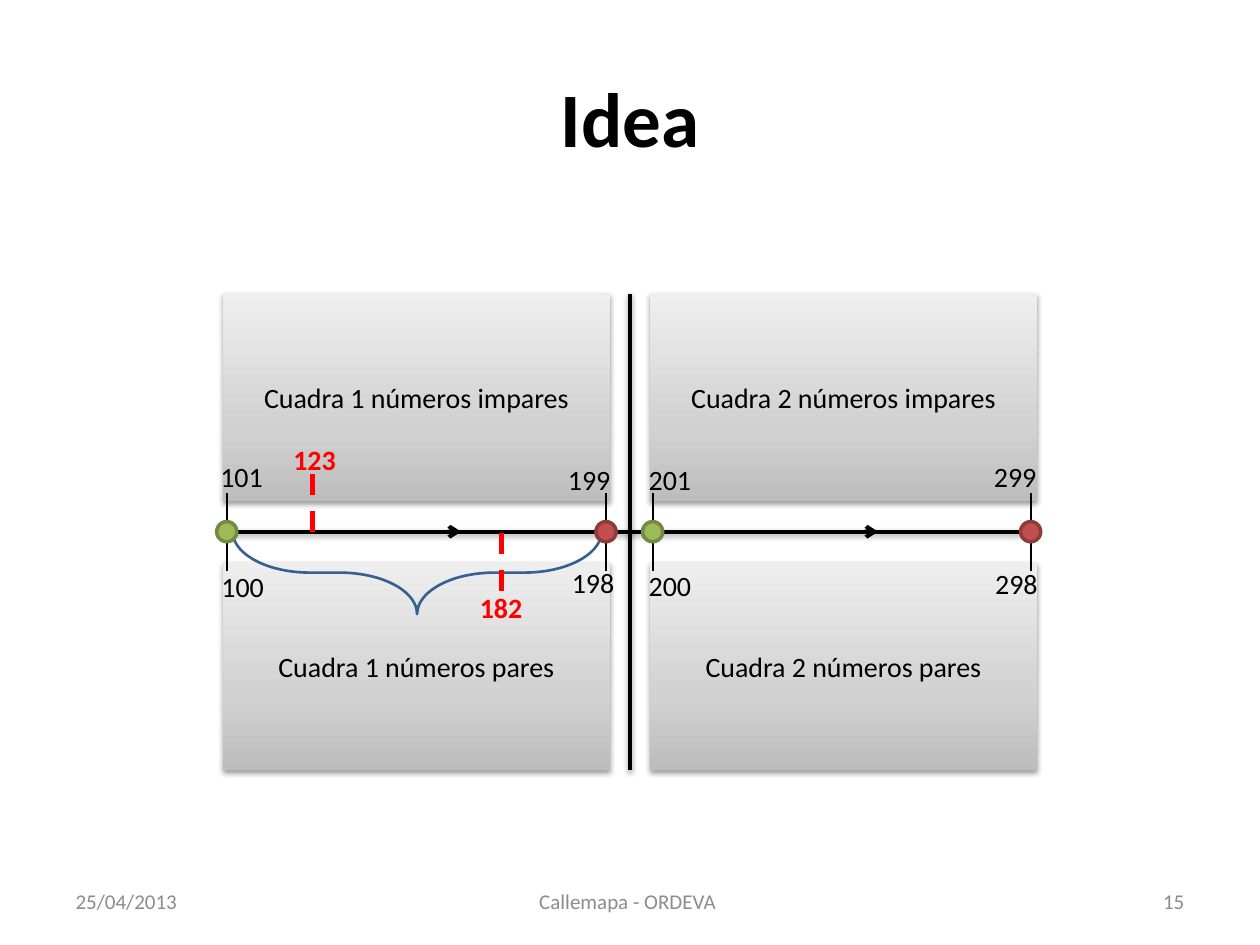
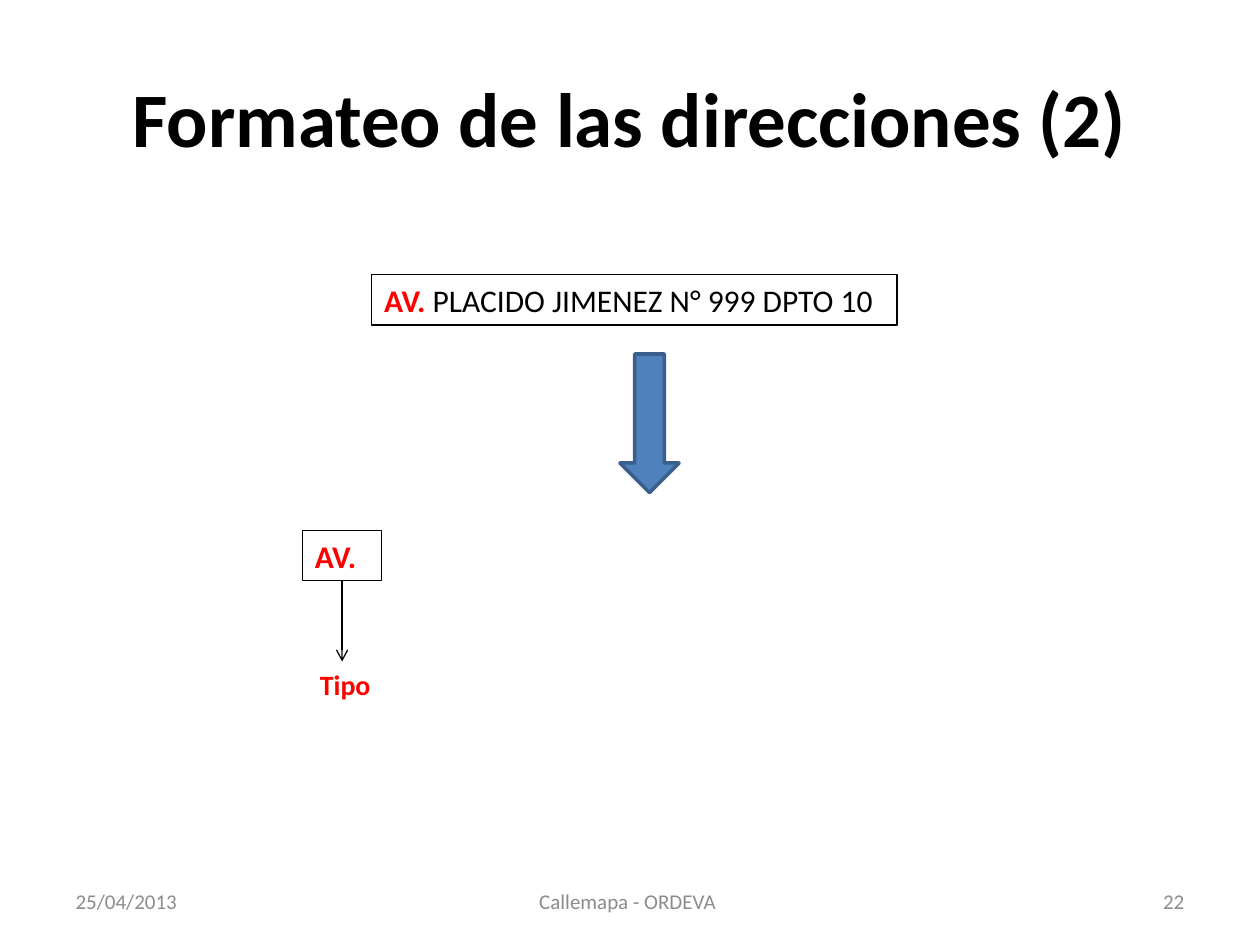
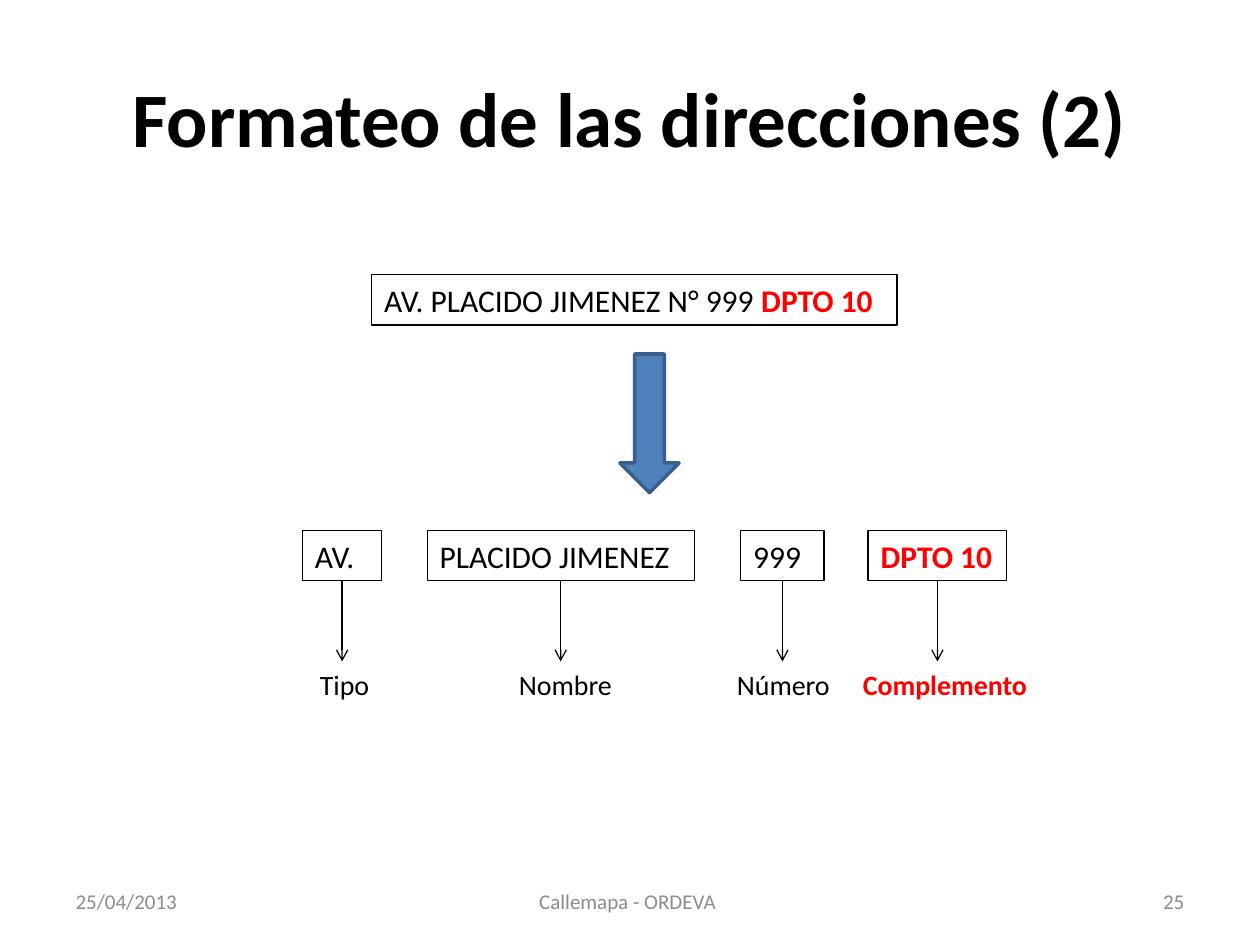
from copy import deepcopy

from lxml.etree import SubElement
from pptx import Presentation
from pptx.dml.color import RGBColor
from pptx.enum.dml import MSO_LINE
from pptx.enum.shapes import MSO_CONNECTOR, MSO_SHAPE
from pptx.enum.text import MSO_ANCHOR, MSO_AUTO_SIZE, PP_ALIGN
from pptx.oxml.ns import qn
from pptx.util import Inches, Pt

FONT = "Calibri"
BLACK = RGBColor(0x00, 0x00, 0x00)
RED = RGBColor(0xFF, 0x00, 0x00)
FOOTER_GRAY = RGBColor(0x8C, 0x8C, 0x8C)
ARROW_BLUE = RGBColor(0x4F, 0x81, 0xBD)
ARROW_EDGE = RGBColor(0x3A, 0x5F, 0x8C)
BRACE_BLUE = RGBColor(0x37, 0x60, 0x92)
START_GREEN = RGBColor(0x9B, 0xBB, 0x59)
START_EDGE = RGBColor(0x73, 0x8A, 0x42)
END_RED = RGBColor(0xC0, 0x50, 0x4D)
END_EDGE = RGBColor(0x8E, 0x3B, 0x39)
BLOCK_GRADIENT = [
    (0, RGBColor(0xBD, 0xBD, 0xBD)),
    (0.35, RGBColor(0xD1, 0xD1, 0xD1)),
    (1, RGBColor(0xEE, 0xEE, 0xEE)),
]

DATE = "25/04/2013"
FOOTER = "Callemapa - ORDEVA "
ADDRESS_TITLE = "Formateo de las direcciones (2)"
# text, label, left and width of the field, left and width of the label
ADDRESS_FIELDS = [
    ("AV.", "Tipo", 0, 0.63, 0.04, 0.71),
    ("PLACIDO JIMENEZ", "Nombre", 0.99, 2.12, 1.62, 1.1),
    ("999", "Número", 3.48, 0.66, 3.35, 1.07),
    ("DPTO 10", "Complemento", 4.49, 1.1, 4.35, 1.53),
]


def set_shadow(shape, visible=False):
    """Replace the theme shadow; call after fill and line are set."""
    effects = SubElement(shape.element.spPr, qn("a:effectLst"))
    if visible:
        shadow = SubElement(effects, qn("a:outerShdw"), blurRad="40000",
                            dist="20000", dir="5400000", rotWithShape="0")
        color = SubElement(shadow, qn("a:srgbClr"), val=str(BLACK))
        SubElement(color, qn("a:alpha"), val="38000")


def format_font(font, size, color=BLACK, bold=False):
    font.name = FONT
    font.size = Pt(size)
    font.bold = bold
    font.color.rgb = color


def add_line(slide, start, end, width, color=BLACK, dash=None, arrow=False, shadow=False):
    points = [Inches(value) for value in (*start, *end)]
    connector = slide.shapes.add_connector(MSO_CONNECTOR.STRAIGHT, *points)
    connector.line.width = Pt(width)
    connector.line.color.rgb = color
    if dash:
        connector.line.dash_style = dash
    if arrow:
        SubElement(connector.line._ln, qn("a:tailEnd"), type="arrow")
    set_shadow(connector, shadow)
    return connector


def add_shape(slide, kind, box, fill=None, edge=None, edge_width=1):
    shape = slide.shapes.add_shape(kind, *[Inches(value) for value in box])
    if fill is None:
        shape.fill.background()
    else:
        shape.fill.solid()
        shape.fill.fore_color.rgb = fill
    shape.line.color.rgb = edge
    shape.line.width = Pt(edge_width)
    set_shadow(shape)
    return shape


def add_label(slide, text, box, color=BLACK, bold=False):
    label = slide.shapes.add_textbox(*[Inches(value) for value in box])
    frame = label.text_frame
    frame.word_wrap = True
    frame.auto_size = MSO_AUTO_SIZE.SHAPE_TO_FIT_TEXT
    frame.text = text
    format_font(frame.paragraphs[0].font, 16, color, bold)


def add_slide(presentation, title, number):
    """Add a title-only slide with date, footer and slide number."""
    layout = presentation.slide_layouts[5]
    slide = presentation.slides.add_slide(layout)
    slide.shapes.title.text = title
    format_font(slide.shapes.title.text_frame.paragraphs[0].font, 44, bold=True)
    footers = {
        10: (DATE, PP_ALIGN.LEFT),
        11: (FOOTER, PP_ALIGN.CENTER),
        12: (str(number), PP_ALIGN.RIGHT),
    }
    for placeholder in layout.placeholders:
        index = placeholder.placeholder_format.idx
        if index in footers:
            slide.shapes._spTree.append(deepcopy(placeholder.element))
            text, alignment = footers[index]
            frame = slide.placeholders[index].text_frame
            frame.text = text
            paragraph = frame.paragraphs[0]
            paragraph.alignment = alignment
            format_font(paragraph.font, 12, FOOTER_GRAY)
    return slide


def add_block(slide, text, left, top, width, height):
    block = slide.shapes.add_shape(MSO_SHAPE.RECTANGLE, Inches(left), Inches(top),
                                   Inches(width), Inches(height))
    block.fill.gradient()
    block.fill.gradient_angle = 90
    stops = block.element.spPr.find(".//" + qn("a:gsLst"))
    stops.append(deepcopy(stops[-1]))
    for stop, (position, color) in zip(block.fill.gradient_stops, BLOCK_GRADIENT):
        stop.position = position
        stop.color.rgb = color
    block.line.fill.background()
    set_shadow(block, visible=True)
    frame = block.text_frame
    frame.vertical_anchor = MSO_ANCHOR.MIDDLE
    frame.text = text
    frame.paragraphs[0].alignment = PP_ALIGN.CENTER
    format_font(frame.paragraphs[0].font, 16)


def add_street_map(slide, left, top, width, height):
    """Draw two blocks on each side of a street, with its house numbers."""
    street = top + height / 2
    crossing = left + width / 2
    block_width, block_height = 3.07, 1.65
    for row, parity in enumerate(("impares", "pares")):
        for column in range(2):
            add_block(slide, f"Cuadra {column + 1} números {parity}",
                      left + column * (width - block_width),
                      top + row * (height - block_height), block_width, block_height)
    add_line(slide, (left, street), (left + width, street), 2.25, shadow=True)
    for edge in (top, top + height):
        add_line(slide, (crossing, edge), (crossing, street), 2.25, shadow=True)

    for middle in (4.85, 1.54):
        add_line(slide, (left + middle - 0.36, street), (left + middle + 0.35, street),
                 2.25, arrow=True)
    brace = add_shape(slide, MSO_SHAPE.RIGHT_BRACE,
                      (left + 1.21, top + 0.75, 0.66, 2.93), edge=BRACE_BLUE, edge_width=1.5)
    brace.rotation = 90
    brace.adjustments[0] = 0.93

    node = 0.16
    for column, offset in enumerate((0.03, 3.04, 3.41, 6.41)):
        center = left + offset
        for reach in (-0.31, 0.31):
            add_line(slide, (center, street), (center, street + reach), 1)
        fill, edge = ((START_GREEN, START_EDGE), (END_RED, END_EDGE))[column % 2]
        add_shape(slide, MSO_SHAPE.OVAL, (center - node / 2, street - node / 2, node, node),
                  fill, edge, 2)

    corner_numbers = [
        ("101", -0.12, 1.27), ("100", -0.11, 2.14), ("199", 2.64, 1.29), ("198", 2.67, 2.11),
        ("201", 3.28, 1.29), ("200", 3.28, 2.13), ("299", 6.02, 1.27), ("298", 6.03, 2.12),
    ]
    for number, x, y in corner_numbers:
        add_label(slide, number, (left + x, top + y, 0.63, 0.37))

    # number, label position, marker position, marker start and end from the street
    houses = [("123", 0.46, 1.13, 0.71, 0, -0.47), ("182", 1.94, 2.31, 2.21, 0.47, 0)]
    for number, x, y, marker, start, end in houses:
        add_line(slide, (left + marker, street + start), (left + marker, street + end),
                 3, RED, MSO_LINE.DASH)
        add_label(slide, number, (left + x, top + y, 0.63, 0.37), RED, True)


def add_framed_text(slide, runs, box):
    """Add a thin frame holding (text, highlighted) runs."""
    shape = add_shape(slide, MSO_SHAPE.RECTANGLE, box, edge=BLACK, edge_width=0.75)
    frame = shape.text_frame
    frame.word_wrap = True
    frame.auto_size = MSO_AUTO_SIZE.SHAPE_TO_FIT_TEXT
    frame.vertical_anchor = MSO_ANCHOR.TOP
    paragraph = frame.paragraphs[0]
    paragraph.alignment = PP_ALIGN.LEFT
    for text, highlighted in runs:
        run = paragraph.add_run()
        run.text = text
        format_font(run.font, 18, RED if highlighted else BLACK, highlighted)
    return shape


def add_address_field(slide, left, top, field, highlighted):
    text, name, field_left, field_width, label_left, label_width = field
    field_left += left
    box = add_framed_text(slide, [(text, highlighted)], (field_left, top, field_width, 0.4))
    center = field_left + field_width / 2
    arrow = add_line(slide, (center, top + 0.4), (center, top + 1.04), 0.75, arrow=True)
    arrow.begin_connect(box, 2)
    add_label(slide, name, (left + label_left, top + 1.04, label_width, 0.37),
              RED if highlighted else BLACK, highlighted)


def add_address_split(slide, left, top, address_runs, field_count):
    """Show an address and its first fields; the last one is highlighted."""
    add_framed_text(slide, address_runs, (left + 0.55, top, 4.17, 0.4))
    add_shape(slide, MSO_SHAPE.DOWN_ARROW, (left + 2.52, top + 0.63, 0.47, 1.1),
              ARROW_BLUE, ARROW_EDGE, 2)
    for index, field in enumerate(ADDRESS_FIELDS[:field_count]):
        add_address_field(slide, left, top + 2.03, field, index == field_count - 1)


def main():
    presentation = Presentation()
    presentation.slide_width = Inches(10)
    presentation.slide_height = Inches(7.5)

    add_street_map(add_slide(presentation, "Idea", 15), 1.77, 2.33, 6.46, 3.78)
    address_slides = [
        (22, [("AV. ", True), ("PLACIDO JIMENEZ N° 999 DPTO 10", False)], 1),
        (25, [("AV. PLACIDO JIMENEZ N° 999 ", False), ("DPTO 10", True)], 4),
    ]
    for number, address_runs, field_count in address_slides:
        slide = add_slide(presentation, ADDRESS_TITLE, number)
        add_address_split(slide, 2.4, 2.18, address_runs, field_count)

    presentation.save("out.pptx")


if __name__ == "__main__":
    main()
